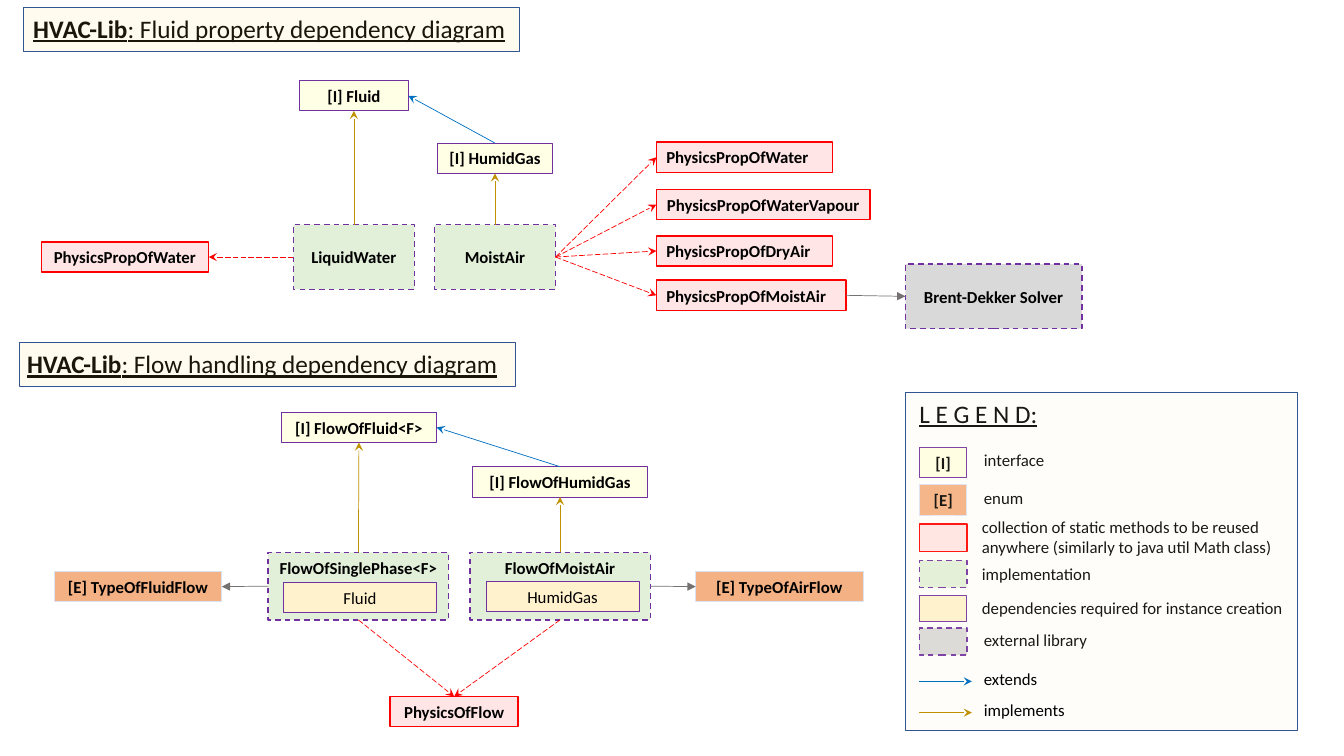
"""Builds the HVAC-Lib dependency diagram slide."""
from pptx import Presentation
from pptx.dml.color import RGBColor
from pptx.enum.dml import MSO_LINE
from pptx.enum.shapes import MSO_CONNECTOR, MSO_SHAPE
from pptx.enum.text import MSO_ANCHOR, PP_ALIGN
from pptx.oxml.ns import qn
from pptx.util import Inches, Pt
from lxml import etree

RECTANGLE = MSO_SHAPE.RECTANGLE
STRAIGHT = MSO_CONNECTOR.STRAIGHT
DASH, LONG_DASH = MSO_LINE.DASH, MSO_LINE.LONG_DASH
LEFT_ALIGN, CENTER = PP_ALIGN.LEFT, PP_ALIGN.CENTER
TOP_ANCHOR, MIDDLE = MSO_ANCHOR.TOP, MSO_ANCHOR.MIDDLE
TOP, LEFT, BOTTOM, RIGHT = range(4)

FONT = "Calibri"
BOX_HEIGHT = 0.3
COLORS = {
    "black": "000000", "yellow": "FFFF00", "red": "FF0000", "green": "E2F0D9",
    "orange": "F4B183", "cream": "FFF2CC", "gold": "FFD966", "grey": "D9D9D9",
    "purple": "7030A0", "pale blue": "DAE3F3", "navy": "325491",
    "blue": "0070C0", "ochre": "BF9000", "dark grey": "767171",
}
BOX_STYLES = {
    "interface": ("yellow", 10, "purple", 0.5, None),
    "enum": ("orange", 100, "pale blue", 0.5, None),
    "static": ("red", 10, "red", 1, None),
    "implementation": ("green", 100, "purple", 1, DASH),
    "dependency": ("cream", 100, "purple", 0.5, None),
    "external": ("grey", 100, "purple", 1, DASH),
    "legend": ("cream", 10, "navy", 0.5, None),
    "title": ("gold", 10, "navy", 0.25, None),
}
LINK_STYLES = {
    "extends": ("blue", None, "stealth"),
    "implements": ("ochre", None, "stealth"),
    "uses": ("red", LONG_DASH, "stealth"),
    "refers": ("dark grey", None, "triangle"),
}


def color(name):
    """Return the named colour."""
    return RGBColor.from_string(COLORS[name])


def write(shape, runs, size=12, align=LEFT_ALIGN, anchor=MIDDLE):
    """Fill a shape with runs given as (text, bold, underline)."""
    frame = shape.text_frame
    frame.word_wrap = True
    frame.vertical_anchor = anchor
    paragraph = frame.paragraphs[0]
    paragraph.alignment = align
    for text, bold, underline in runs:
        run = paragraph.add_run()
        run.text = text
        font = run.font
        font.name, font.size = FONT, Pt(size)
        font.bold, font.underline = bold, underline
        font.color.rgb = color("black")


def add_label(slide, runs, left, top, width, height, size=12):
    """Add a text box."""
    box = slide.shapes.add_textbox(*map(Inches, (left, top, width, height)))
    write(box, runs, size, anchor=TOP_ANCHOR)


def add_box(slide, style, left, top, width, height=BOX_HEIGHT, text="",
            bold=True, align=CENTER, anchor=MIDDLE):
    """Add a rectangle in one of the box styles."""
    fill, opacity, line, weight, dash = BOX_STYLES[style]
    shape = slide.shapes.add_shape(RECTANGLE, *map(Inches, (left, top, width, height)))
    shape.shadow.inherit = False
    shape.fill.solid()
    shape.fill.fore_color.rgb = color(fill)
    if opacity < 100:
        fill_color = shape.fill._xPr.find(qn("a:solidFill"))[0]
        etree.SubElement(fill_color, qn("a:alpha")).set("val", str(opacity * 1000))
    shape.line.color.rgb = color(line)
    shape.line.width = Pt(weight)
    if dash:
        shape.line.dash_style = dash
    if text:
        write(shape, [(text, bold, False)], align=align, anchor=anchor)
    return shape


def add_arrow(slide, style, start=(0, 0), end=(0, 0)):
    """Add an arrow between two points."""
    line, dash, head = LINK_STYLES[style]
    arrow = slide.shapes.add_connector(STRAIGHT, *map(Inches, (*start, *end)))
    arrow.line.color.rgb = color(line)
    arrow.line.width = Pt(0.5)
    if dash:
        arrow.line.dash_style = dash
    etree.SubElement(arrow.line._get_or_add_ln(), qn("a:tailEnd")).set("type", head)
    etree.SubElement(arrow._element.spPr, qn("a:effectLst"))
    return arrow


def link(slide, style, source, source_side, target, target_side):
    """Join two boxes with an arrow."""
    arrow = add_arrow(slide, style)
    arrow.begin_connect(source, source_side)
    arrow.end_connect(target, target_side)


def add_title(slide, subject, left, top, text_left, text_top):
    """Add a framed diagram heading."""
    runs = [("HVAC-Lib", True, True), (f": {subject} dependency diagram", False, True)]
    add_label(slide, runs, text_left, text_top, 6.67, 0.4, 18)
    add_box(slide, "title", left, top, 4.92, 0.44)


def add_fluid_diagram(slide, left, top):
    """Draw the fluid property diagram from its top left corner."""
    def place(style, x, y, width, text, height=BOX_HEIGHT, align=CENTER):
        return add_box(slide, style, left + x, top + y, width, height, text, align=align)

    fluid = place("interface", 2.56, 0, 1.08, "[I] Fluid")
    humid_gas = place("interface", 3.93, 0.62, 1.14, "[I] HumidGas")
    water = place("implementation", 2.5, 1.43, 1.2, "LiquidWater", 0.64)
    air = place("implementation", 3.9, 1.43, 1.2, "MoistAir", 0.64)
    water_props = place("static", 0, 1.6, 1.66, "PhysicsPropOfWater")
    solver = place("external", 8.57, 1.82, 1.75, "Brent-Dekker Solver", 0.64)
    link(slide, "extends", humid_gas, TOP, fluid, RIGHT)
    link(slide, "implements", air, TOP, humid_gas, BOTTOM)
    link(slide, "implements", water, TOP, fluid, BOTTOM)
    link(slide, "uses", water, LEFT, water_props, RIGHT)
    for name, y, width, align in (
        ("Water", 0.61, 1.75, LEFT_ALIGN),
        ("WaterVapour", 1.08, 2.12, CENTER),
        ("DryAir", 1.54, 1.75, LEFT_ALIGN),
        ("MoistAir", 1.98, 1.88, LEFT_ALIGN),
    ):
        props = place("static", 6.1, y, width, f"PhysicsPropOf{name}", align=align)
        link(slide, "uses", air, RIGHT, props, LEFT)
    link(slide, "refers", props, RIGHT, solver, LEFT)


def add_flow_diagram(slide, left, top):
    """Draw the flow handling diagram from its top left corner."""
    def place(style, x, y, width, text, height=BOX_HEIGHT, **options):
        return add_box(slide, style, left + x, top + y, width, height, text, **options)

    fluid = place("interface", 2.25, 0, 1.54, "[I] FlowOfFluid<F>")
    humid_gas = place("interface", 4.15, 0.54, 1.73, "[I] FlowOfHumidGas")
    physics = place("static", 3.33, 2.82, 1.27, "PhysicsOfFlow")
    link(slide, "extends", humid_gas, TOP, fluid, RIGHT)
    for name, x, parent, part, part_x, part_y, enum_name, enum_x, side in (
        ("SinglePhase<F>", 2.12, fluid, "Fluid", 2.27, 1.69, "FluidFlow", 0, LEFT),
        ("MoistAir", 4.12, humid_gas, "HumidGas", 4.28, 1.68, "AirFlow", 6.36, RIGHT),
    ):
        flow = place("implementation", x, 1.39, 1.79, f"FlowOf{name}", 0.67,
                     anchor=TOP_ANCHOR)
        place("dependency", part_x, part_y, 1.52, part, bold=False)
        flow_type = place("enum", enum_x, 1.58, 1.66, f"[E] TypeOf{enum_name}")
        link(slide, "implements", flow, TOP, parent, BOTTOM)
        link(slide, "refers", flow, side, flow_type, LEFT + RIGHT - side)
        link(slide, "uses", flow, BOTTOM, physics, TOP)


def add_legend(slide, left, top, width, height):
    """Draw the legend inside the given box."""
    add_label(slide, [("L E G E N D:", False, True)], left + 0.04, top + 0.01, 3.73, 0.4, 18)
    for style, sign, y, swatch_height, label, x, label_y in (
        ("interface", "[I]", 0.55, 0.3, "interface", 0.68, 0.52),
        ("enum", "[E]", 0.92, 0.3, "enum", 0.68, 0.9),
        ("static", "", 1.31, 0.27, "collection of static methods to be reused "
         "anywhere (similarly to java util Math class)", 0.66, 1.19),
        ("implementation", "", 1.67, 0.27, "implementation", 0.66, 1.65),
        ("dependency", "", 2.02, 0.25,
         "dependencies required for instance creation", 0.66, 1.99),
        ("external", "", 2.34, 0.27, "external library", 0.68, 2.31),
    ):
        add_box(slide, style, left + 0.14, top + y, 0.47, swatch_height, sign)
        add_label(slide, [(label, False, False)], left + x, top + label_y, 3.41, BOX_HEIGHT)
    add_box(slide, "legend", left, top, width, height)
    for style, y, label_y in (("extends", 2.87, 2.7), ("implements", 3.18, 3)):
        add_arrow(slide, style, (left + 0.14, top + y), (left + 0.66, top + y))
        add_label(slide, [(style, False, False)], left + 0.68, top + label_y, 3.41, BOX_HEIGHT)


def main():
    """Build and save the slide."""
    presentation = Presentation()
    presentation.slide_width, presentation.slide_height = Inches(13.33), Inches(7.5)
    slide = presentation.slides.add_slide(presentation.slide_layouts[6])
    add_title(slide, "Fluid property", 0.23, 0.07, 0.23, 0.08)
    add_fluid_diagram(slide, 0.41, 0.8)
    add_title(slide, "Flow handling", 0.19, 3.39, 0.17, 3.41)
    add_flow_diagram(slide, 0.54, 4.09)
    add_legend(slide, 8.98, 3.89, 3.89, 3.36)
    presentation.save("out.pptx")


if __name__ == "__main__":
    main()
